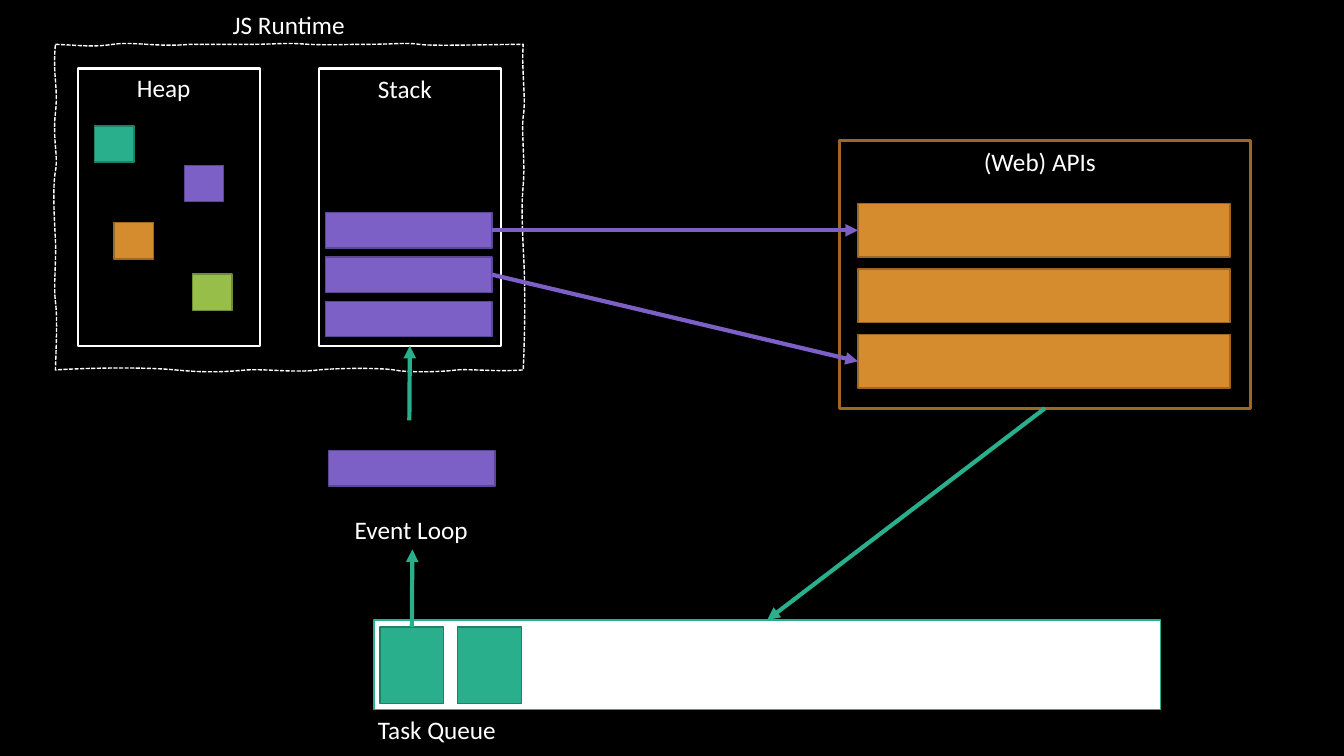
import pptx
import pptx.util
from pptx.dml.color import RGBColor
from pptx.enum.dml import MSO_LINE
from pptx.enum.shapes import MSO_CONNECTOR, MSO_SHAPE
from pptx.oxml.ns import qn
from lxml import etree

PX = 9144  # EMU per px, 100 px to the inch
FONT = "Calibri"
BLACK = RGBColor(0x00, 0x00, 0x00)
WHITE = RGBColor(0xFF, 0xFF, 0xFF)
GREEN = RGBColor(0x29, 0xAF, 0x8C)
DARK_GREEN = RGBColor(0x1E, 0x81, 0x68)
PURPLE = RGBColor(0x7C, 0x60, 0xC6)
DARK_PURPLE = RGBColor(0x5C, 0x47, 0x92)
ORANGE = RGBColor(0xD5, 0x8C, 0x2E)
DARK_ORANGE = RGBColor(0x9E, 0x68, 0x22)
LIME = RGBColor(0x97, 0xBE, 0x49)
DARK_LIME = RGBColor(0x70, 0x8D, 0x36)

TOP, LEFT, BOTTOM, RIGHT = range(4)  # connection sites of a rectangle
BAR_SIZE = (165, 35)

# Hand-drawn outline: two control points and an end point per curve,
# relative to the top left corner of the runtime
SKETCH = [
    # top
    (26, 1, 37, 3, 57, 0), (77, -3, 102, 3, 133, 0), (163, 0, 169, 0, 194, 0),
    (220, 0, 227, -2, 251, 0), (276, 1, 283, 0, 308, 0),
    (334, 0, 349, -2, 361, 0), (372, 2, 437, 0, 464, 0),
    # right
    (462, 25, 467, 55, 464, 71), (462, 87, 466, 116, 464, 139),
    (462, 162, 463, 175, 464, 204), (466, 233, 466, 277, 464, 323),
    # bottom
    (439, 325, 411, 322, 398, 323), (385, 325, 350, 326, 336, 323),
    (322, 321, 282, 321, 261, 323), (239, 326, 210, 322, 190, 323),
    (169, 325, 150, 326, 119, 323), (87, 320, 32, 321, 0, 323),
    # left
    (1, 294, 2, 271, 0, 255), (-2, 240, 1, 213, 0, 194),
    (-1, 174, -3, 142, 0, 126), (3, 110, -3, 94, 0, 68), (3, 42, -3, 30, 0, 0),
]


def emu(*lengths):
    return [pptx.util.Emu(length * PX) for length in lengths]


def add_rect(shapes, left, top, width, height, fill, line, weight=1):
    rect = shapes.add_shape(MSO_SHAPE.RECTANGLE, *emu(left, top, width, height))
    rect.shadow.inherit = False
    if fill is None:
        rect.fill.background()
    else:
        rect.fill.solid()
        rect.fill.fore_color.rgb = fill
    rect.line.color.rgb = line
    rect.line.width = pptx.util.Pt(weight)
    return rect


def add_label(shapes, words, left, top, width, wrap=True):
    label = shapes.add_textbox(*emu(left, top, width, 40))
    label.text_frame.word_wrap = wrap
    run = label.text_frame.paragraphs[0].add_run()
    run.text = words
    run.font.name = FONT
    run.font.size = pptx.util.Pt(18)
    run.font.color.rgb = WHITE
    return label


def site_point(shape, site):
    x = shape.left + shape.width * {LEFT: 0, RIGHT: 1}.get(site, 0.5)
    y = shape.top + shape.height * {TOP: 0, BOTTOM: 1}.get(site, 0.5)
    return round(x), round(y)


def add_arrow(shapes, color, source, source_site, target, target_site):
    """Glue an arrow from one shape's side to another's."""
    arrow = shapes.add_connector(
        MSO_CONNECTOR.STRAIGHT,
        *site_point(source, source_site), *site_point(target, target_site))
    arrow.begin_connect(source, source_site)
    arrow.end_connect(target, target_site)
    style_arrow(arrow, color)


def style_arrow(arrow, color):
    arrow.line.color.rgb = color
    arrow.line.width = pptx.util.Pt(3)
    etree.SubElement(arrow.line._get_or_add_ln(), qn("a:tailEnd"), type="triangle")
    etree.SubElement(arrow._element.spPr, qn("a:effectLst"))


def draw_sketched_outline(shapes, left, top):
    builder = shapes.build_freeform(*emu(left, top))
    builder.add_line_segments(
        [emu(left + curve[4], top + curve[5]) for curve in SKETCH], close=True)
    outline = builder.convert_to_shape()
    # Bend each straight segment into its curve
    for segment, curve in zip(list(outline._element.iter(qn("a:lnTo"))), SKETCH):
        segment.tag = qn("a:cubicBezTo")
        for point in list(segment):
            segment.remove(point)
        for x, y in zip(emu(*curve[0::2]), emu(*curve[1::2])):
            etree.SubElement(segment, qn("a:pt"), x=str(int(x)), y=str(int(y)))
    outline.shadow.inherit = False
    outline.fill.background()
    outline.line.color.rgb = WHITE
    outline.line.width = pptx.util.Pt(1)
    outline.line.dash_style = MSO_LINE.SQUARE_DOT


def draw_runtime(shapes, left, top):
    """Outline, heap and stack; returns the stack and its bars from the top."""
    draw_sketched_outline(shapes, left, top)
    add_label(shapes, "JS Runtime", left + 166, top - 40, 181)

    # Heap
    add_rect(shapes, left + 22, top + 24, 181, 275, None, WHITE, 1.5)
    add_label(shapes, "Heap", left + 71, top + 23, 111)
    for x, y, fill, line in [(39, 81, GREEN, DARK_GREEN),
                             (128, 120, PURPLE, DARK_PURPLE),
                             (58, 177, ORANGE, DARK_ORANGE),
                             (136, 228, LIME, DARK_LIME)]:
        add_rect(shapes, left + x, top + y, 39, 36, fill, line)

    # Stack
    stack = add_rect(shapes, left + 261, top + 24, 181, 275, None, WHITE, 1.5)
    add_label(shapes, "Stack", left + 310, top + 24, 111)
    calls = [add_rect(shapes, left + 268, top + 167 + 44 * i, *BAR_SIZE,
                      PURPLE, DARK_PURPLE) for i in range(3)]
    return stack, calls


def draw_web_apis(shapes, left, top, width, height):
    """Returns the frame and its bars from the top."""
    group = shapes.add_group_shape().shapes
    frame = add_rect(group, left, top, width, height, None, DARK_ORANGE, 2.25)
    bars = [add_rect(group, left + 18, top + 63 + 65 * i, width - 38, 53,
                     ORANGE, DARK_ORANGE) for i in range(3)]
    add_label(group, "(Web) APIs", left + 133, top + 1, 170)
    return frame, bars


def draw_task_queue(shapes, left, top, width, height):
    """Returns the queue and its first task."""
    queue = add_rect(shapes, left, top, width, height, WHITE, GREEN)
    tasks = [add_rect(shapes, left + 6 + 77 * i, top + 7, 63, 76,
                      GREEN, DARK_GREEN) for i in range(2)]
    add_label(shapes, "Task Queue", left - 6, top + height, 139)
    return queue, tasks[0]


def draw_event_loop(shapes, left, top):
    add_rect(shapes, left, top, *BAR_SIZE, PURPLE, DARK_PURPLE)
    return add_label(shapes, "Event Loop", left + 16, top + 58, 134, wrap=False)


def draw_event_loop_slide(slide):
    slide.background.fill.solid()
    slide.background.fill.fore_color.rgb = BLACK
    shapes = slide.shapes

    stack, calls = draw_runtime(shapes, 55, 44)
    apis, api_bars = draw_web_apis(shapes, 833, 139, 407, 266)
    queue, first_task = draw_task_queue(shapes, 371, 615, 780, 89)
    event_loop = draw_event_loop(shapes, 326, 447)

    # Flow between the parts
    add_arrow(shapes, PURPLE, calls[0], RIGHT, api_bars[0], LEFT)
    add_arrow(shapes, PURPLE, calls[1], RIGHT, api_bars[2], LEFT)
    add_arrow(shapes, GREEN, apis, BOTTOM, queue, TOP)
    add_arrow(shapes, GREEN, first_task, TOP, event_loop, BOTTOM)
    to_stack = shapes.add_connector(MSO_CONNECTOR.STRAIGHT, *emu(406, 417, 406, 343))
    to_stack.end_connect(stack, BOTTOM)
    style_arrow(to_stack, GREEN)


def main():
    deck = pptx.Presentation()
    deck.slide_width, deck.slide_height = emu(1333, 750)
    draw_event_loop_slide(deck.slides.add_slide(deck.slide_layouts[6]))
    deck.save("out.pptx")


if __name__ == "__main__":
    main()
